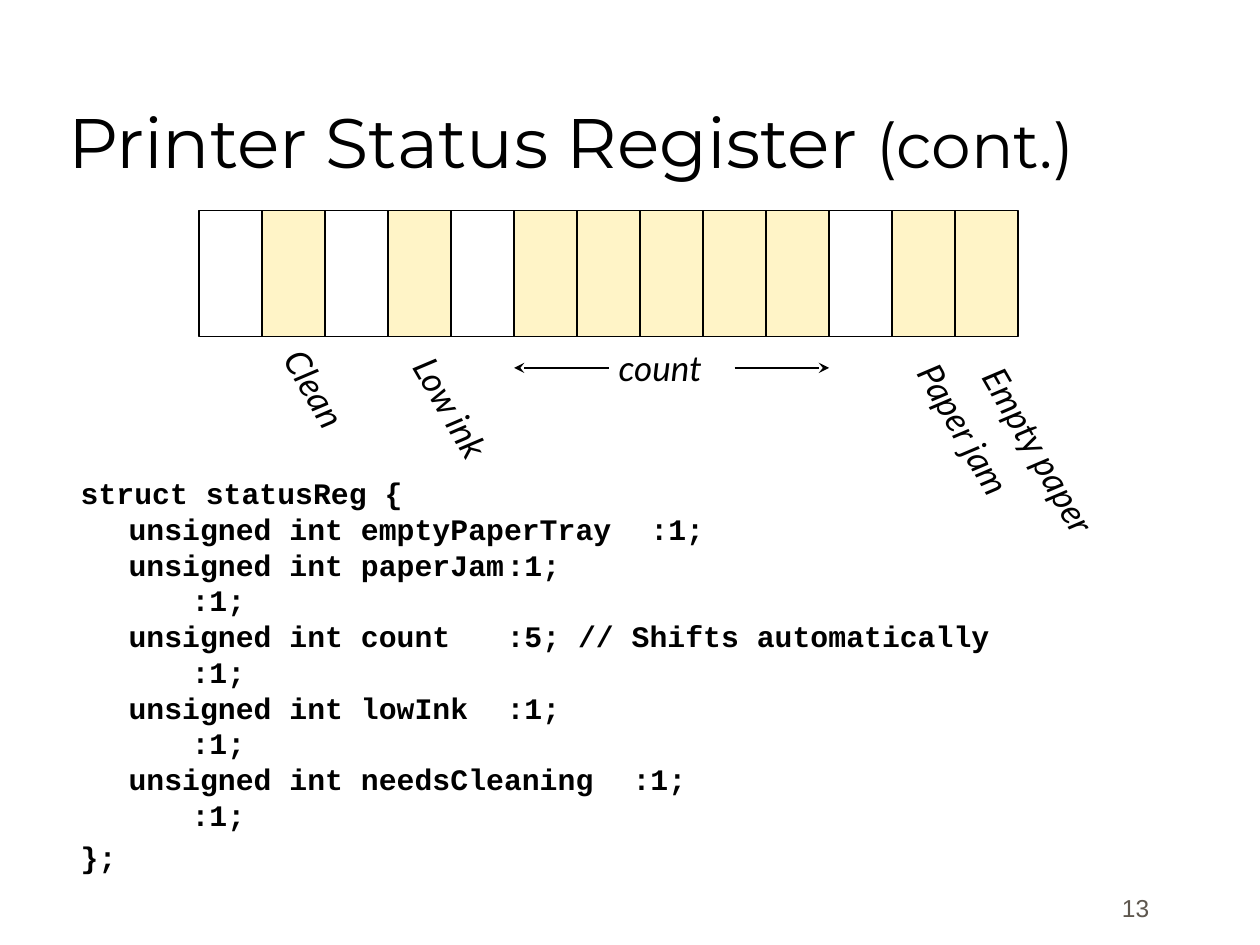
from copy import deepcopy

from lxml import etree
from pptx import Presentation
from pptx.dml.color import RGBColor
from pptx.enum.shapes import MSO_CONNECTOR, MSO_SHAPE
from pptx.enum.text import MSO_ANCHOR, MSO_AUTO_SIZE, PP_ALIGN
from pptx.oxml.ns import qn
from pptx.util import Inches, Pt

RECT, STRAIGHT = MSO_SHAPE.RECTANGLE, MSO_CONNECTOR.STRAIGHT
TOP, MIDDLE, BOTTOM = MSO_ANCHOR.TOP, MSO_ANCHOR.MIDDLE, MSO_ANCHOR.BOTTOM
LEFT, RIGHT = PP_ALIGN.LEFT, PP_ALIGN.RIGHT
BLACK, CREAM, GREY = "000000", "FFF4C7", "5E574E"

# Content
TITLE = [("Printer Status Register ", 40), ("(cont.)", 36)]
FIELDS = [
    ("unsigned int emptyPaperTray", " :1;"),
    ("unsigned int paperJam", ":1;"),
    ("", ":1;"),
    ("unsigned int count", ":5; // Shifts automatically"),
    ("", ":1;"),
    ("unsigned int lowInk", ":1;"),
    ("", ":1;"),
    ("unsigned int needsCleaning", ":1;"),
    ("", ":1;"),
]
BITS = "0101011111011"  # 1 marks a used bit
LABELS = [  # text, left, top, width, height, rotation
    ("Empty paper", 7.51, 3.41, 1.48, 0.34, 60),
    ("Paper jam", 7.07, 3.25, 1.18, 0.34, 60),
    ("Low ink", 3.14, 3.08, 0.89, 0.33, 60),
    ("Clean", 2.17, 2.92, 0.66, 0.33, 60),
    ("count", 4.91, 2.75, 0.83, 0.33, 0),
]
PAGE_NUMBER = "13"

# Register grid, in inches
GRID_LEFT, GRID_TOP, CELL_W, CELL_H = 1.58, 1.67, 0.5, 1
COUNT_START, COUNT_END = 5, 10  # columns spanned by the count field
ARROW_Y, ARROW_LENGTH = 2.92, 0.75


def color(value):
    return RGBColor.from_string(value)


def column_x(column):
    return GRID_LEFT + column * CELL_W


def place(shape, left, top, width, height):
    shape.left, shape.top = Inches(left), Inches(top)
    shape.width, shape.height = Inches(width), Inches(height)


def set_frame(frame, anchor, wrap=True):
    frame.auto_size = MSO_AUTO_SIZE.NONE
    frame.vertical_anchor = anchor
    frame.word_wrap = wrap


def style(span, font, size, ink=BLACK, bold=False, italic=False):
    span.font.name, span.font.size = font, Pt(size)
    span.font.bold, span.font.italic = bold, italic
    span.font.color.rgb = color(ink)


def add_text(page, text, left, top, width, height, anchor, wrap):
    box = page.shapes.add_textbox(*map(Inches, (left, top, width, height)))
    set_frame(box.text_frame, anchor, wrap)
    box.text_frame.text = text
    return box, box.text_frame.paragraphs[0]


def add_title(page):
    title = page.shapes.title
    place(title, 0.44, 0.25, 8.5, 1.25)
    set_frame(title.text_frame, BOTTOM)
    para = title.text_frame.paragraphs[0]
    para.alignment = LEFT
    for text, size in TITLE:
        span = para.add_run()
        span.text = text
        style(span, "Montserrat", size)


def add_code(page):
    body = page.placeholders[1]
    place(body, 0.54, 3.72, 8.5, 3.52)
    frame = body.text_frame
    set_frame(frame, TOP)
    lines = ["struct statusReg {"] + [f"{name}\t{width}" for name, width in FIELDS]
    frame.paragraphs[0].text = "\v".join(lines)
    frame.add_paragraph().text = "};"
    for para in frame.paragraphs:
        para.space_before = Pt(4)
        for span in para.runs:
            style(span, "Courier New", 17, bold=True)
        # Hanging indent, no bullet, one tab stop for the bit widths
        props = para._p.get_or_add_pPr()
        props.set("marL", str(Inches(0.38)))
        props.set("indent", str(-Inches(0.38)))
        etree.SubElement(props, qn("a:buNone"))
        tabs = etree.SubElement(props, qn("a:tabLst"))
        etree.SubElement(tabs, qn("a:tab"), pos=str(Inches(4)), algn="l")
        # Line breaks are a point larger, which opens up the lines
        for line_break in para._p.findall(qn("a:br")):
            break_props = deepcopy(para.runs[0]._r.rPr)
            break_props.set("sz", "1800")
            line_break.append(break_props)


def add_register(page):
    for column, bit in enumerate(BITS):
        cell = page.shapes.add_shape(
            RECT, *map(Inches, (column_x(column), GRID_TOP, CELL_W, CELL_H)))
        cell.shadow.inherit = False
        if bit == "1":
            cell.fill.solid()
            cell.fill.fore_color.rgb = color(CREAM)
        else:
            cell.fill.background()
        cell.line.color.rgb = color(BLACK)
        cell.line.width = Pt(0.75)


def add_arrow(page, start, end):
    arrow = page.shapes.add_connector(
        STRAIGHT, *map(Inches, (start, ARROW_Y, end, ARROW_Y)))
    arrow.line.color.rgb = color(BLACK)
    arrow.line.width = Pt(0.75)
    etree.SubElement(arrow.line._get_or_add_ln(), qn("a:tailEnd"), type="stealth")
    etree.SubElement(arrow._element.spPr, qn("a:effectLst"))


def add_labels(page):
    for text, left, top, width, height, rotation in LABELS:
        box, para = add_text(page, text, left, top, width, height, MIDDLE, False)
        frame = box.text_frame
        frame.margin_left = frame.margin_right = 0
        frame.margin_top = frame.margin_bottom = 0
        box.rotation = rotation
        style(para.runs[0], "Lato", 20, italic=True)


def main():
    deck = Presentation()
    deck.slide_width, deck.slide_height = Inches(10), Inches(7.5)
    page = deck.slides.add_slide(deck.slide_layouts[1])
    add_title(page)
    add_code(page)
    add_register(page)
    add_labels(page)

    # Arrows point outwards to both ends of the count field
    first, last = column_x(COUNT_START), column_x(COUNT_END)
    add_arrow(page, first + ARROW_LENGTH, first)
    add_arrow(page, last - ARROW_LENGTH, last)

    # Page number
    _, para = add_text(page, PAGE_NUMBER, 7.22, 6.81, 2, 0.56, BOTTOM, True)
    para.alignment = RIGHT
    style(para.runs[0], "Arial", 14, GREY)
    deck.save("out.pptx")


if __name__ == "__main__":
    main()
